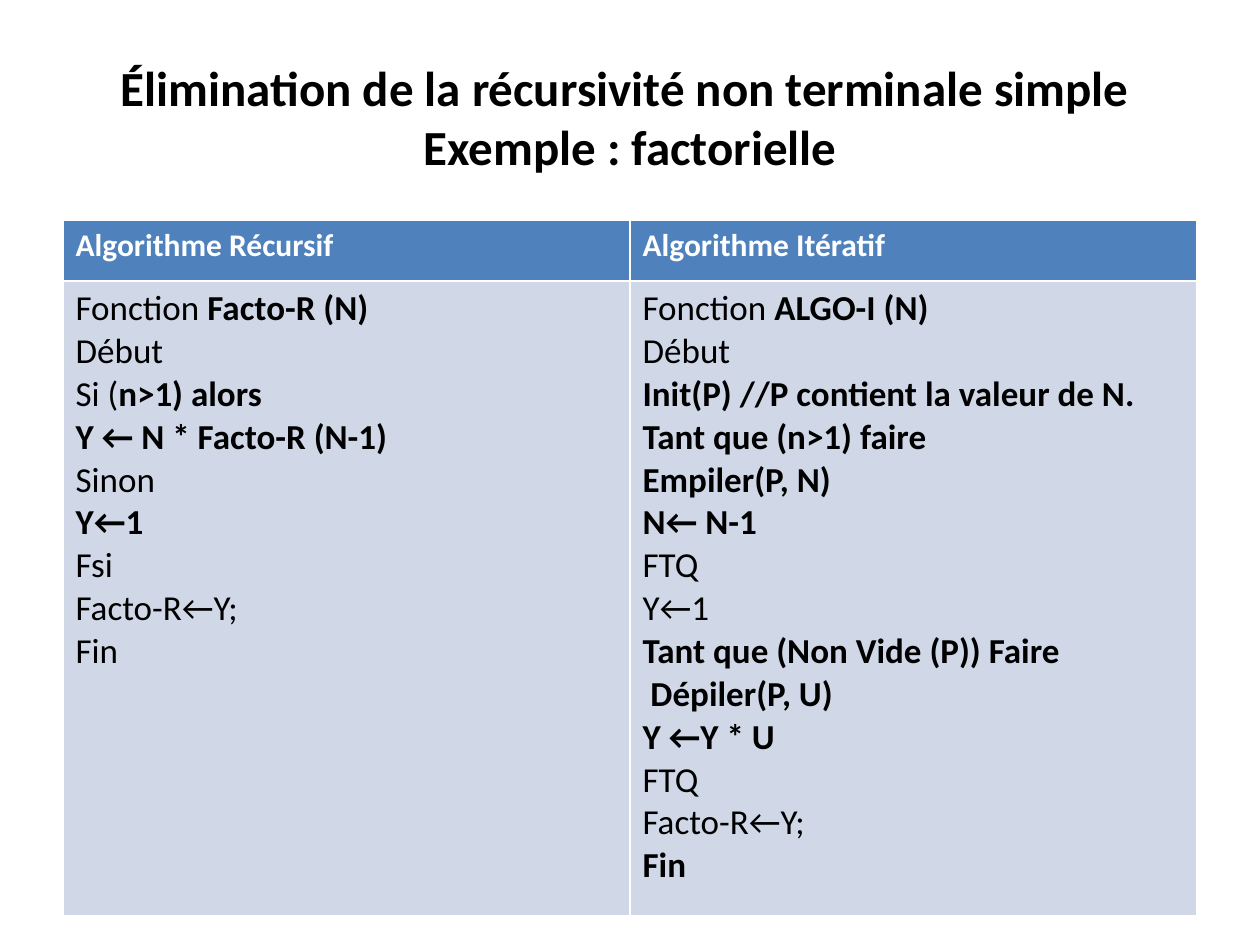
import pptx
import pptx.dml.color
import pptx.enum.text
import pptx.util

BLACK = pptx.dml.color.RGBColor(0x00, 0x00, 0x00)
WHITE = pptx.dml.color.RGBColor(0xFF, 0xFF, 0xFF)
HEADER_BLUE = pptx.dml.color.RGBColor(0x4F, 0x81, 0xBD)
BODY_BLUE = pptx.dml.color.RGBColor(0xD0, 0xD8, 0xE8)
FONT = "Calibri"

SLIDE_WIDTH = pptx.util.Inches(10)
SLIDE_HEIGHT = pptx.util.Inches(7.5)
MARGIN = SLIDE_WIDTH // 20
CONTENT_WIDTH = SLIDE_WIDTH - 2 * MARGIN

TITLE = "Élimination de la récursivité non terminale simple \vExemple : factorielle"

# Each line is its plain part followed by its bold part
ALGORITHMS = {
    "Algorithme Récursif": [
        ("Fonction ", "Facto-R (N)"),
        ("Début", ""),
        ("Si (", "n>1) alors"),
        ("", "Y ← N * Facto-R (N-1)"),
        ("Sinon", ""),
        ("", "Y←1"),
        ("Fsi", ""),
        ("Facto-R←Y;", ""),
        ("Fin", ""),
    ],
    "Algorithme Itératif": [
        ("Fonction ", "ALGO-I (N)"),
        ("Début", ""),
        ("", "Init(P) //P contient la valeur de N."),
        ("", "Tant que (n>1) faire"),
        ("", "Empiler(P, N)"),
        ("", "N← N-1"),
        ("FTQ", ""),
        ("Y←1", ""),
        ("", "Tant que (Non Vide (P)) Faire"),
        ("", " Dépiler(P, U)"),
        ("", "Y ←Y * U"),
        ("FTQ", ""),
        ("Facto-R←Y;", ""),
        ("", "Fin"),
    ],
}


def format_run(run, size, color, bold):
    run.font.name = FONT
    run.font.size = pptx.util.Pt(size)
    run.font.color.rgb = color
    run.font.bold = bold


def fill_cell(cell, color):
    cell.fill.solid()
    cell.fill.fore_color.rgb = color


def place_title(slide, left, top, width, height):
    title = slide.shapes.title
    title.left, title.top, title.width, title.height = left, top, width, height
    text_frame = title.text_frame
    text_frame.vertical_anchor = pptx.enum.text.MSO_ANCHOR.MIDDLE
    paragraph = text_frame.paragraphs[0]
    paragraph.text = TITLE
    paragraph.alignment = pptx.enum.text.PP_ALIGN.CENTER
    for run in paragraph.runs:
        format_run(run, 28, BLACK, True)


def write_code(cell, lines):
    text_frame = cell.text_frame
    text_frame.text = "\n".join(plain for plain, bold in lines)
    for paragraph, (plain, bold) in zip(text_frame.paragraphs, lines):
        if bold:
            paragraph.add_run().text = bold
        for run in paragraph.runs:
            format_run(run, 20, BLACK, run.text == bold)


def place_comparison(slide, left, top, width, height, header_height):
    columns = len(ALGORITHMS)
    table = slide.shapes.add_table(2, columns, left, top, width, height).table
    table.rows[0].height = header_height
    table.rows[1].height = height - header_height
    for column, (heading, lines) in enumerate(ALGORITHMS.items()):
        table.columns[column].width = width // columns
        header, body = table.cell(0, column), table.cell(1, column)
        header.text_frame.text = heading
        format_run(header.text_frame.paragraphs[0].runs[0], 18, WHITE, True)
        fill_cell(header, HEADER_BLUE)
        write_code(body, lines)
        fill_cell(body, BODY_BLUE)


def main():
    presentation = pptx.Presentation()
    presentation.slide_width = SLIDE_WIDTH
    presentation.slide_height = SLIDE_HEIGHT
    slide = presentation.slides.add_slide(presentation.slide_layouts[5])

    # Title band, then the two algorithms side by side
    place_title(slide, MARGIN, int(SLIDE_HEIGHT * 0.04), CONTENT_WIDTH, SLIDE_HEIGHT // 6)
    place_comparison(slide, MARGIN, int(SLIDE_HEIGHT * 0.2333), CONTENT_WIDTH,
                     pptx.util.Inches(5.52), pptx.util.Inches(0.48))

    presentation.save("out.pptx")


if __name__ == "__main__":
    main()
